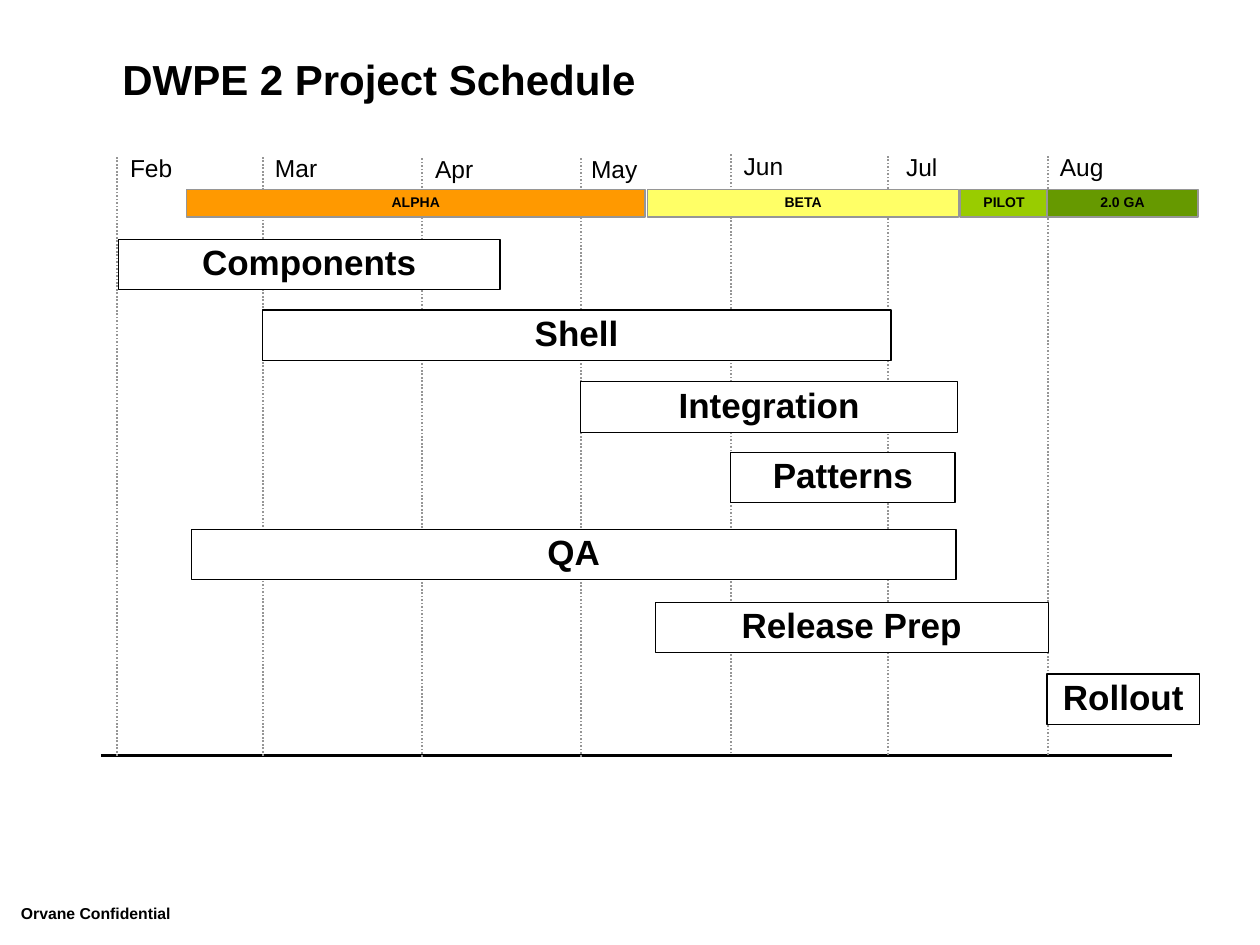
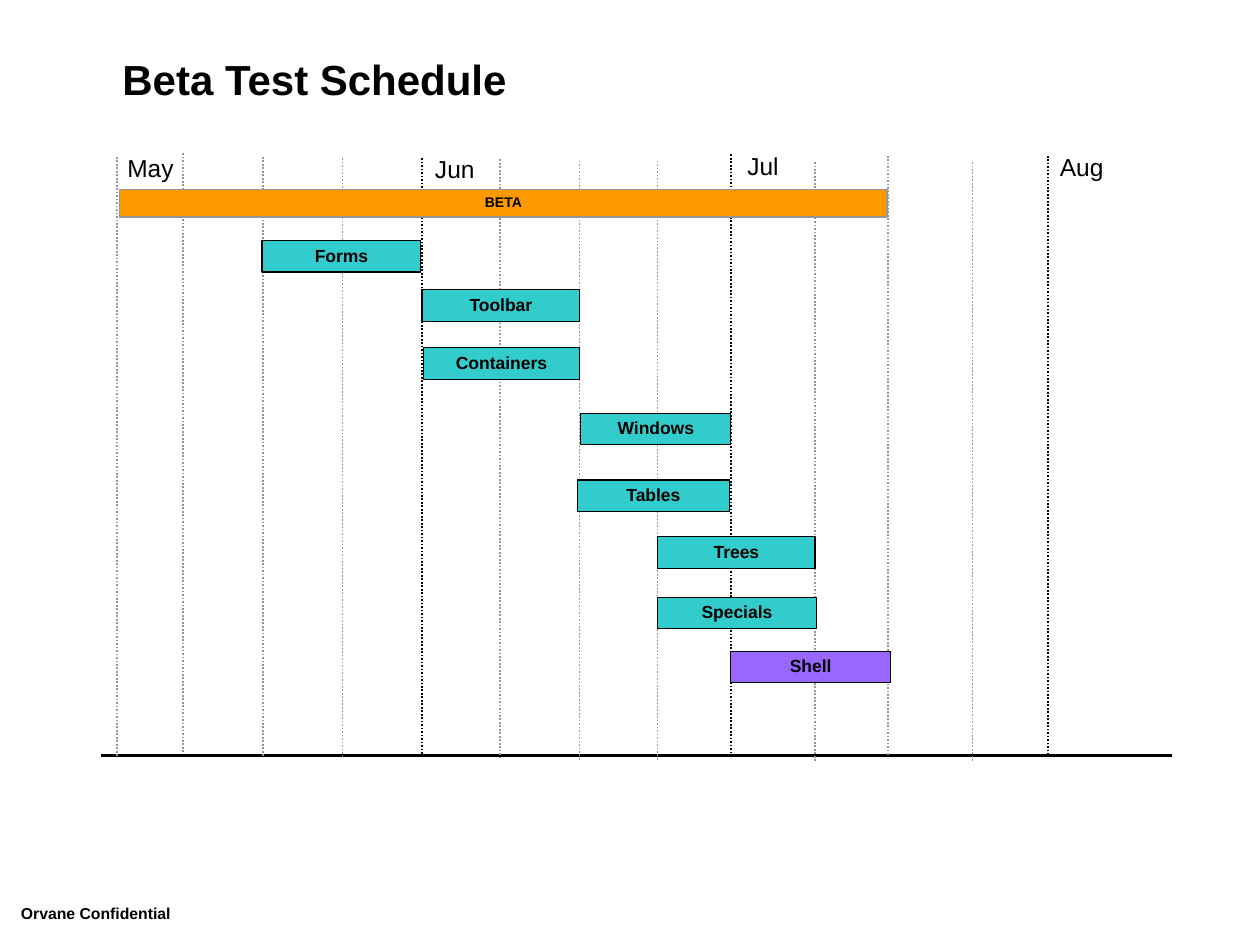
from dataclasses import dataclass

from lxml.etree import SubElement as add_tag
from pptx import Presentation
from pptx.dml.color import RGBColor as Rgb
from pptx.enum.dml import MSO_LINE as Dash
from pptx.enum.shapes import MSO_CONNECTOR as Link, MSO_SHAPE as Kind
from pptx.enum.text import MSO_ANCHOR as Anchor, MSO_AUTO_SIZE as Fit, PP_ALIGN as Align
from pptx.oxml.ns import qn
from pptx.util import Pt


@dataclass(frozen=True)
class Theme:
    """Colours, type sizes and shared measures of the deck."""
    font: str = "Arial"
    ink: str = "000000"
    gray: str = "969696"
    white: str = "FFFFFF"
    orange: str = "FF9900"
    yellow: str = "FFFF66"
    lime: str = "99CC00"
    green: str = "669900"
    teal: str = "33CCCC"
    purple: str = "9966FF"
    title: int = 24
    task: int = 20
    month: int = 14
    test: int = 10
    foot: int = 9
    phase: int = 8
    base: float = 431.8
    span: float = 342.7
    band: float = 108.3
    tag: float = 48


T = Theme()
HIGH = {T.task: 28.8, T.test: 18, T.phase: 15.8}

MONTHS = [
    ("Feb", 86.4, 89.3), ("Mar", 169.2, 89.3), ("Apr", 259.6, 90), ("May", 351, 90),
    ("Jun", 436.3, 87.8), ("Jul", 526.7, 88.6), ("Aug", 618.1, 88.6),
]
MONTH_X = [67, 150.5, 241.2, 331.9, 417.6, 507.6, 599]
PHASES = [
    ("ALPHA", 106.6, 262.1, T.orange), ("BETA", 370.1, 177.8, T.yellow),
    ("PILOT", 548.6, 50.4, T.lime), ("2.0 GA", 598.3, 86.4, T.green),
]
TASKS = [
    ("Components", 67.6, 136.8, 218.2), ("Shell", 149.8, 177.1, 359.3),
    ("Integration", 331.9, 218.2, 215.3), ("Patterns", 417.6, 258.5, 128.2),
    ("QA", 109.4, 302.4, 437), ("Release Prep", 374.4, 344.2, 224.6),
    ("Rollout", 598.3, 385.2, 87.1),
]

TEST_MONTHS = [("May", 86, 89.3), ("Jun", 259.9, 90), ("Jul", 436, 87.8), ("Aug", 618.1, 88.6)]
WEEKS = [
    (67, 89.3), (104.4, 87.1), (150.5, 89.3), (195.8, 90), (241.2, 90),
    (285.8, 90.7), (331.2, 91.4), (375.8, 91.4), (417.6, 87.8), (465.8, 92.2),
    (507.6, 88.6), (555.8, 92.2), (599, 88.6),
]
TESTS = [
    ("Forms", 149.8, 137.5, 90.7), ("Toolbar", 241.2, 165.6, 90),
    ("Containers", 241.9, 198.7, 89.3), ("Windows", 331.9, 236.2, 85.7),
    ("Tables", 329.8, 274.3, 87.1), ("Trees", 375.8, 306.7, 90),
    ("Specials", 375.8, 341.3, 90.7), ("Shell", 417.6, 372.2, 91.4),
]


def place(shape, left, top, width, height):
    """Move and size a shape in points."""
    shape.left, shape.top = Pt(left), Pt(top)
    shape.width, shape.height = Pt(width), Pt(height)


def write(shape, text, size, bold=True, align=Align.LEFT, anchor=Anchor.TOP):
    """Set one formatted paragraph and return its frame."""
    frame = shape.text_frame
    frame.text = text
    frame.vertical_anchor = anchor
    para = frame.paragraphs[0]
    para.alignment = align
    font = para.runs[0].font
    font.name, font.size, font.bold = T.font, Pt(size), bold
    font.color.rgb = Rgb.from_string(T.ink)
    return frame


def strip(frame):
    """Remove the insets of a text frame."""
    frame.margin_left = frame.margin_right = 0
    frame.margin_top = frame.margin_bottom = 0
    frame.word_wrap = True
    frame.auto_size = Fit.NONE


def snug(frame, size):
    """Set tight line spacing and let the shape fit its text."""
    para = frame.paragraphs[0]
    para.line_spacing = 0.9
    para.space_before = Pt(round(size * 0.625, 1))
    frame.auto_size = Fit.SHAPE_TO_FIT_TEXT


def rule(slide, start, end, color, width, dash=None):
    """Draw a straight line."""
    line = slide.shapes.add_connector(Link.STRAIGHT, *map(Pt, start + end))
    line.line.color.rgb = Rgb.from_string(color)
    line.line.width = Pt(width)
    if dash:
        line.line.dash_style = dash
    add_tag(line._element.spPr, qn("a:effectLst"))


def grid(slide, left, top, color=T.gray):
    """Draw a dotted date line upward from the base."""
    rule(slide, (left, top + T.span), (left, top), color, 1, Dash.ROUND_DOT)


def label(slide, text, mid, top):
    """Name a month beside its date line."""
    box = slide.shapes.add_textbox(0, 0, 0, 0)
    place(box, mid - T.tag / 2, top - 3.4, T.tag, 22.3)
    frame = write(box, text, T.month, False, Align.CENTER)
    frame.word_wrap = False
    snug(frame, T.month)


def bar(slide, text, left, top, width, fill, size, edge=T.ink):
    """Draw a schedule bar with its name."""
    box = slide.shapes.add_shape(Kind.RECTANGLE, 0, 0, 0, 0)
    place(box, left, top, width, HIGH[size])
    box.shadow.inherit = False
    box.fill.solid()
    box.fill.fore_color.rgb = Rgb.from_string(fill)
    box.line.color.rgb = Rgb.from_string(edge)
    box.line.width = Pt(0.75)
    frame = write(box, text, size, align=Align.CENTER, anchor=Anchor.MIDDLE)
    frame.word_wrap = True
    snug(frame, size)


def phase(slide, text, left, width, fill):
    """Draw a release phase in the top band."""
    bar(slide, text, left, T.band, width, fill, T.phase, T.gray)


def page(deck, title, months):
    """Add a slide with title, footer, base line and months."""
    slide = deck.slides.add_slide(deck.slide_layouts[5])
    head = slide.shapes.title
    place(head, 69.9, 30.6, 596.9, 67.7)
    strip(write(head, title, T.title))
    foot = slide.shapes.add_textbox(0, 0, 0, 0)
    place(foot, 12, 515.8, 696.2, 12.2)
    strip(write(foot, "Orvane Confidential", T.foot, anchor=Anchor.MIDDLE))
    rule(slide, (57.6, T.base), (669.6, T.base), T.ink, 1.5)
    for month in months:
        label(slide, *month)
    return slide


def project(deck):
    """Build the project schedule."""
    slide = page(deck, "DWPE 2 Project Schedule", MONTHS)
    for left, (_, _, top) in zip(MONTH_X, MONTHS):
        grid(slide, left, top)
    for item in PHASES:
        phase(slide, *item)
    for task in TASKS:
        bar(slide, *task, T.white, T.task)


def beta(deck):
    """Build the beta test schedule."""
    slide = page(deck, "Beta Test Schedule", TEST_MONTHS)
    for week, (left, top) in enumerate(WEEKS):
        grid(slide, left, top, T.ink if week and week % 4 == 0 else T.gray)
    phase(slide, "BETA", 68.4, 438.5, T.orange)
    for test in TESTS:
        bar(slide, *test, T.purple if test[0] == "Shell" else T.teal, T.test)


def main():
    """Build and save the deck."""
    deck = Presentation()
    deck.slide_width, deck.slide_height = Pt(720), Pt(540)
    project(deck)
    beta(deck)
    deck.save("out.pptx")


if __name__ == "__main__":
    main()
